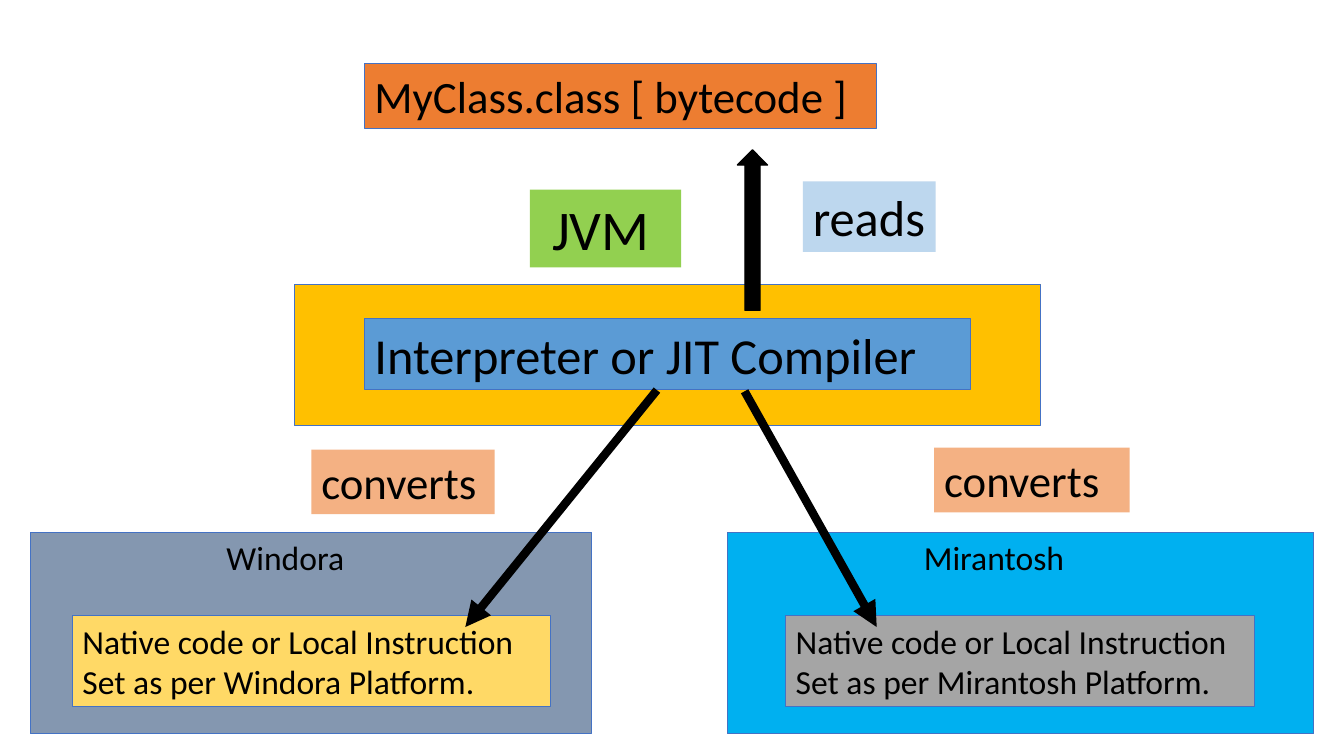
"""Build the slide showing how the JVM turns bytecode into native code."""
from dataclasses import dataclass

from lxml.etree import SubElement
from pptx import Presentation
from pptx.dml.color import RGBColor
from pptx.enum.shapes import MSO_CONNECTOR, MSO_SHAPE
from pptx.enum.text import MSO_ANCHOR, PP_ALIGN
from pptx.oxml.ns import qn
from pptx.util import Cm, Pt


@dataclass(frozen=True)
class Theme:
    font: str = "Calibri"
    black: str = "000000"
    border: str = "4472C4"
    class_file: str = "ED7D31"
    jvm_area: str = "FFC000"
    compiler: str = "5B9BD5"
    jvm: str = "92D050"
    reads: str = "BDD7EE"
    converts: str = "F4B183"
    left_system: str = "8497B0"
    left_code: str = "FFD966"
    right_system: str = "00B0F0"
    right_code: str = "A5A5A5"
    body: int = 24
    label: int = 32
    heading: int = 36
    title: int = 40


theme = Theme()
prs = Presentation()
prs.slide_width, prs.slide_height = Cm(33.88), Cm(19.05)
s = prs.slides.add_slide(prs.slide_layouts[6])


def add_block(text, box, fill, size=theme.body, border=theme.border,
              border_width=0.75, inset=0.25, shape=MSO_SHAPE.RECTANGLE):
    sp = s.shapes.add_shape(shape, *map(Cm, box))
    sp.shadow.inherit = False
    sp.fill.solid()
    sp.fill.fore_color.rgb = RGBColor.from_string(fill)
    if border:
        sp.line.color.rgb = RGBColor.from_string(border)
        sp.line.width = Pt(border_width)
    else:
        sp.line.fill.background()
    if text:
        tf = sp.text_frame
        tf.word_wrap = True
        tf.vertical_anchor = MSO_ANCHOR.TOP
        tf.margin_left, tf.margin_right = Cm(inset), Cm(0.25)
        tf.margin_top = tf.margin_bottom = Cm(0.13)
        p = tf.paragraphs[0]
        p.alignment = PP_ALIGN.LEFT
        r = p.add_run()
        r.text = text
        r.font.name, r.font.size = theme.font, Pt(size)
        r.font.color.rgb = RGBColor.from_string(theme.black)
    return sp


add_block("", (7.42, 7.16, 18.82, 3.56), theme.jvm_area)
add_block("MyClass.class [ bytecode ]", (9.19, 1.6, 12.9, 1.63), theme.class_file,
          size=theme.label)

systems = [
    ("Windora", 0.76, 14.15, theme.left_system, 1.83, 12.04, theme.left_code),
    ("Mirantosh", 18.34, 14.78, theme.right_system, 19.81, 11.81, theme.right_code),
]
for name, left, width, fill, code_left, code_width, code_fill in systems:
    add_block(name, (left, 13.41, width, 5.08), fill, inset=4.95)
    add_block(f"Native code or Local Instruction Set as per {name} Platform.",
              (code_left, 15.52, code_width, 2.29), code_fill)

add_block("Interpreter or JIT Compiler", (9.19, 8.03, 15.27, 1.78), theme.compiler,
          size=theme.heading)
add_block("JVM", (13.36, 4.78, 3.81, 1.96), theme.jvm, size=theme.title,
          border=None, inset=0.56)
add_block("", (18.59, 3.78, 0.76, 4.04), theme.black, border=theme.black,
          border_width=1, shape=MSO_SHAPE.UP_ARROW)

for ends in [(16.56, 9.83, 11.73, 15.8), (18.77, 9.86, 22.1, 15.8)]:
    arrow = s.shapes.add_connector(MSO_CONNECTOR.STRAIGHT, *map(Cm, ends))
    arrow.line.color.rgb = RGBColor.from_string(theme.black)
    arrow.line.width = Pt(6)
    SubElement(arrow.line._get_or_add_ln(), qn("a:tailEnd"), type="triangle")
    SubElement(arrow._element.spPr, qn("a:effectLst"))

for box in [(23.55, 11.28, 4.93, 1.63), (7.85, 11.33, 4.62, 1.63)]:
    add_block("converts", box, theme.converts, size=theme.label, border=None)
add_block("reads", (20.24, 4.57, 3.35, 1.78), theme.reads, size=theme.heading,
          border=None)

prs.save("out.pptx")
